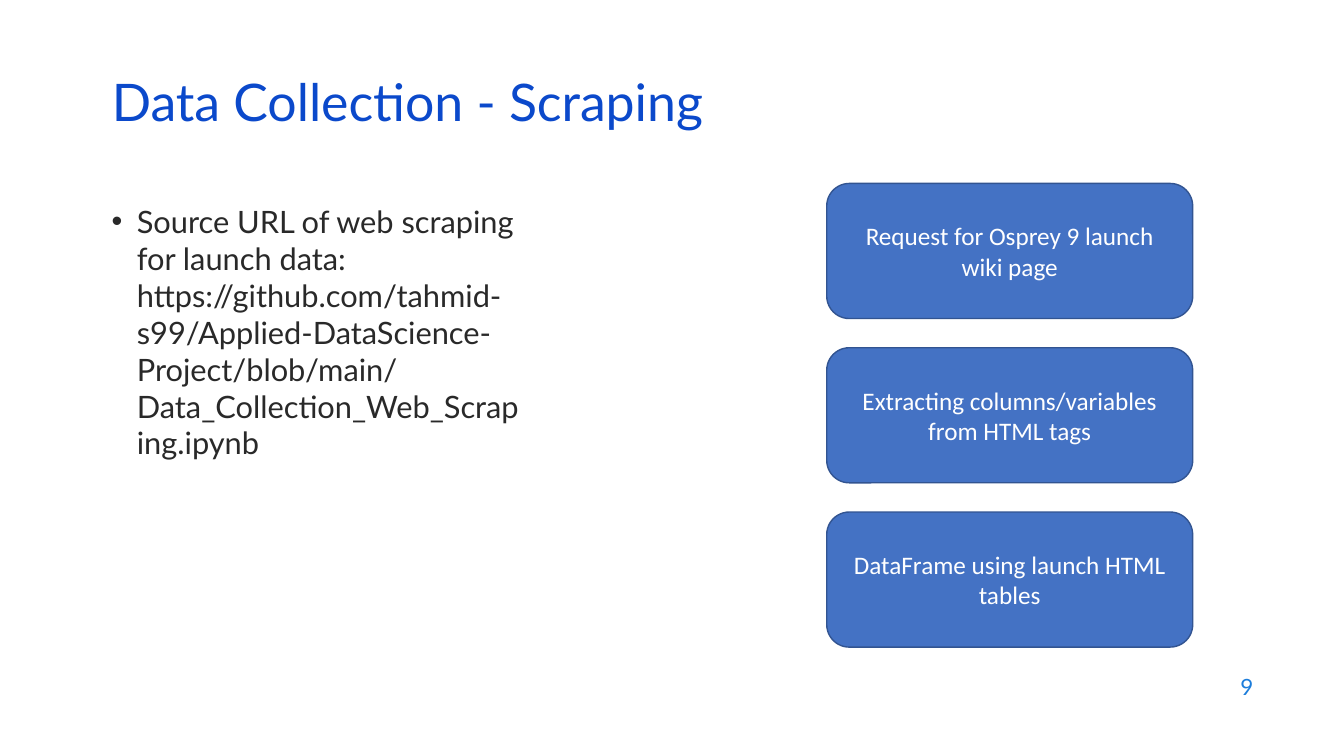
from lxml import etree
from pptx import Presentation
from pptx import util as u
from pptx.dml.color import RGBColor
from pptx.enum import shapes, text
from pptx.oxml.ns import qn

EMU_PER_PX = 9144


def px(n):
    return u.Emu(n * EMU_PER_PX)


def rgb(color):
    return RGBColor.from_string(color)


class Deck:
    heading_font = "Lato"
    box_font = "Calibri"
    title_color = "0B49CB"
    body_color = "292929"
    number_color = "1C7DDB"
    box_fill = "4472C4"
    box_line = "325491"
    box_text = "FFFFFF"

    def __init__(self):
        self.prs = Presentation()
        self.prs.slide_width, self.prs.slide_height = px(1333), px(750)
        self.s = self.prs.slides.add_slide(self.prs.slide_layouts[5])

    def set_text(self, sp, content, size, font, color, align, anchor):
        tf = sp.text_frame
        tf.text = content
        tf.word_wrap = True
        tf.auto_size = text.MSO_AUTO_SIZE.NONE
        tf.vertical_anchor = anchor
        p = tf.paragraphs[0]
        p.alignment = align
        for r in p.runs:
            r.font.size = u.Pt(size)
            r.font.name = font
            r.font.color.rgb = rgb(color)
        return p

    def title(self, content, x, y, w, h):
        sp = self.s.shapes.title
        sp.left, sp.top, sp.width, sp.height = map(px, (x, y, w, h))
        p = self.set_text(sp, content, 37, self.heading_font, self.title_color,
                          text.PP_ALIGN.LEFT, text.MSO_ANCHOR.MIDDLE)
        p.line_spacing = 0.8

    def bullet(self, content, x, y, w, h, indent):
        sp = self.s.shapes.add_textbox(*map(px, (x, y, w, h)))
        p = self.set_text(sp, content, 22, self.heading_font, self.body_color,
                          text.PP_ALIGN.LEFT, text.MSO_ANCHOR.TOP)
        pPr = p._p.get_or_add_pPr()
        pPr.set("marL", str(px(indent)))
        pPr.set("indent", str(px(-indent)))
        etree.SubElement(pPr, qn("a:buFont")).set("typeface", "Arial")
        etree.SubElement(pPr, qn("a:buChar")).set("char", "•")

    def page_number(self, content, x, y, w, h):
        sp = self.s.shapes.add_textbox(*map(px, (x, y, w, h)))
        self.set_text(sp, content, 16, self.heading_font, self.number_color,
                      text.PP_ALIGN.RIGHT, text.MSO_ANCHOR.MIDDLE)

    def step(self, content, x, y, w, h):
        sp = self.s.shapes.add_shape(
            shapes.MSO_SHAPE.ROUNDED_RECTANGLE, *map(px, (x, y, w, h)))
        sp.shadow.inherit = False
        sp.fill.solid()
        sp.fill.fore_color.rgb = rgb(self.box_fill)
        sp.line.color.rgb = rgb(self.box_line)
        sp.line.width = u.Pt(1)
        self.set_text(sp, content, 18, self.box_font, self.box_text,
                      text.PP_ALIGN.CENTER, text.MSO_ANCHOR.MIDDLE)


def main():
    deck = Deck()
    deck.title("Data Collection - Scraping", 101, 76, 1150, 60)
    deck.bullet(
        "Source URL of web scraping for launch data: "
        "https://github.com/tahmid-s99/Applied-DataScience-Project/"
        "blob/main/Data_Collection_Web_Scraping.ipynb",
        101, 196, 430, 417, 25)
    steps = (
        "Request for Osprey 9 launch wiki page",
        "Extracting columns/variables from HTML tags",
        "DataFrame using launch HTML tables",
    )
    for i, label in enumerate(steps):
        deck.step(label, 820, 182 + 163 * i, 363, 134)
    deck.page_number("9", 953, 659, 300, 44)
    deck.prs.save("out.pptx")


if __name__ == "__main__":
    main()
